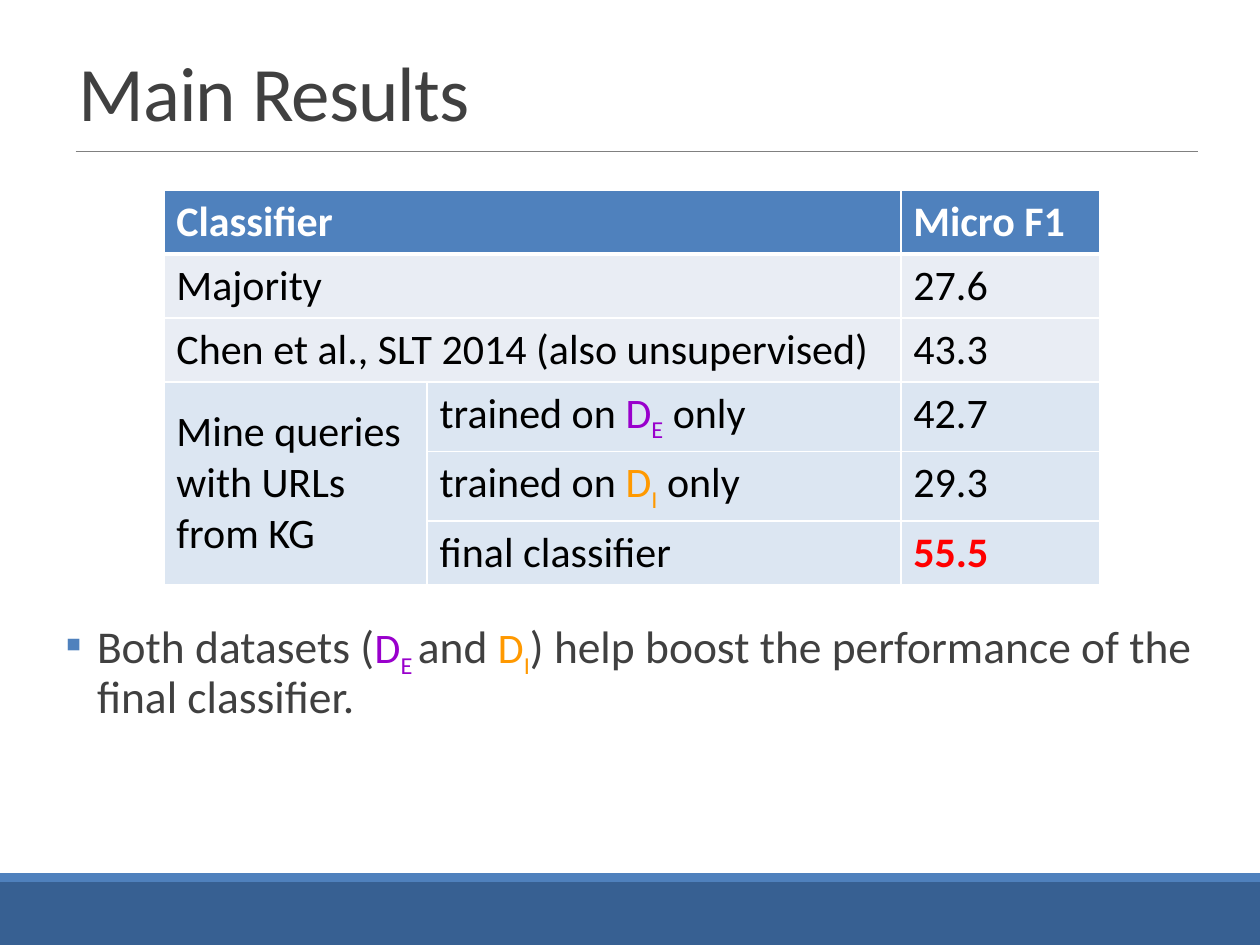
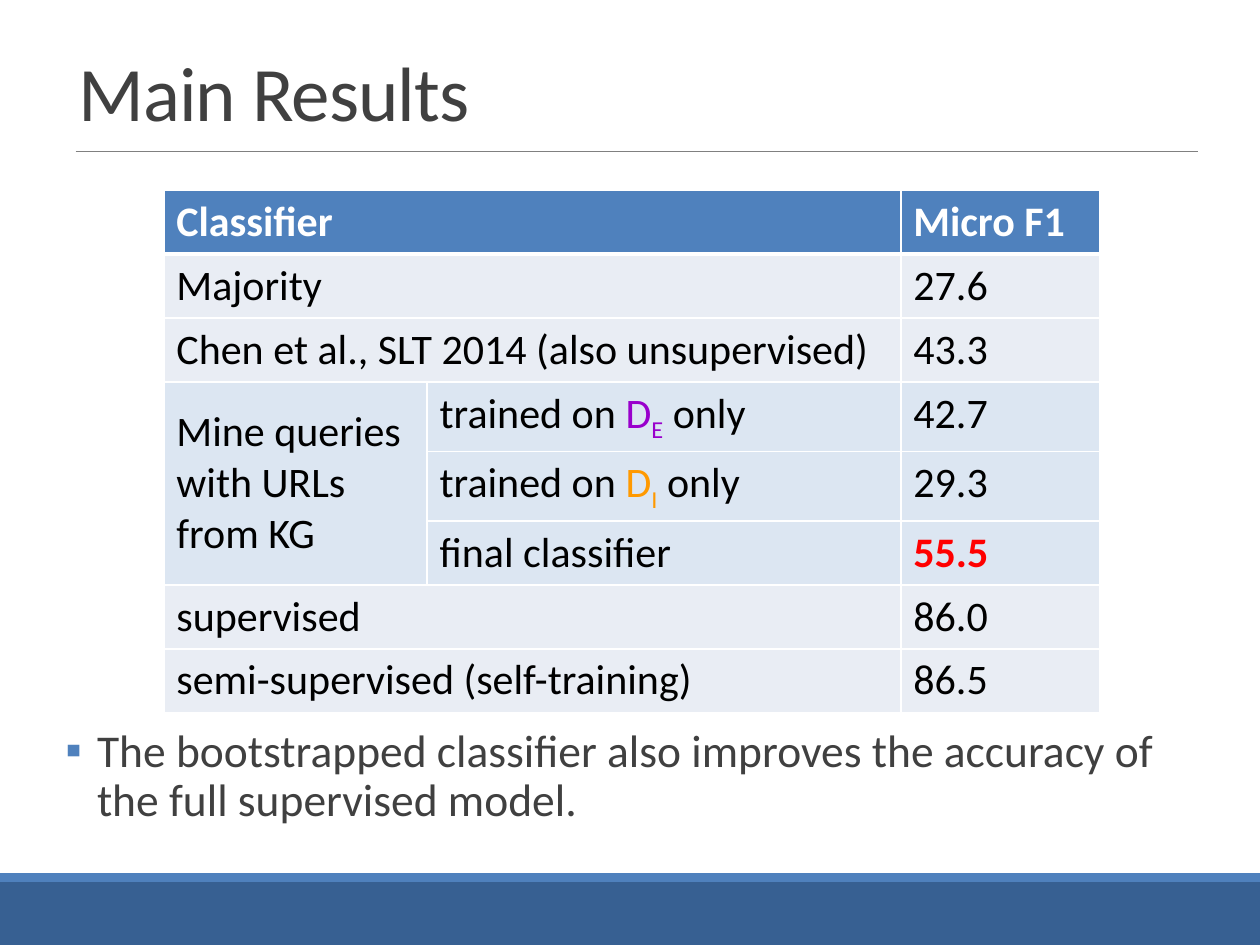
from dataclasses import dataclass

from lxml import etree
from pptx import Presentation
from pptx import util as u
from pptx.dml.color import RGBColor
from pptx.enum import shapes, text
from pptx.oxml import ns

Inches, Pt = u.Inches, u.Pt


@dataclass(frozen=True)
class Theme:
    """Colours, font and type sizes shared by the slides."""
    font: str = "Calibri"
    band: str = "376092"
    accent: str = "4F81BD"
    rule: str = "808080"
    heading: str = "404040"
    ink: str = "000000"
    white: str = "FFFFFF"
    row: str = "E9EDF4"
    own_row: str = "DCE6F2"
    explicit: str = "9900CC"
    implicit: str = "FF9900"
    best: str = "FF0000"
    title_size: int = 44
    body_size: int = 26
    table_size: int = 24


theme = Theme()
TITLE = {"size": theme.title_size, "color": theme.heading}
BODY = {"size": theme.body_size, "color": theme.heading}
HEADER = {"size": theme.table_size, "color": theme.white, "bold": True}
CELL = {"size": theme.table_size, "color": theme.ink}
BEST = {"size": theme.table_size, "color": theme.best, "bold": True}
EXPLICIT = {"size": theme.table_size, "color": theme.explicit}
IMPLICIT = {"size": theme.table_size, "color": theme.implicit}
SUBSCRIPT = {"baseline": "-25000"}


def write_runs(paragraph, runs):
    """Add (words, style) runs; return the paragraph for further formatting."""
    for words, style in runs:
        run = paragraph.add_run()
        run.text = words
        font = {"name": theme.font, "size": Pt(style["size"]), "bold": style.get("bold", False)}
        for name, value in font.items():
            setattr(run.font, name, value)
        run.font.color.rgb = RGBColor.from_string(style["color"])
        for name in ("baseline", "spc"):
            if name in style:
                run.font._element.set(name, style[name])
    return paragraph


def add_border(cell, side, width):
    """Draw one white border (L, R, T or B) of a table cell."""
    line = etree.SubElement(cell._tc.get_or_add_tcPr(), ns.qn("a:ln" + side), w=str(Pt(width)))
    fill = etree.SubElement(line, ns.qn("a:solidFill"))
    etree.SubElement(fill, ns.qn("a:srgbClr"), val=theme.white)


# Dataset names: a letter with a subscript
explicit_data = [("D", EXPLICIT), ("E", EXPLICIT | SUBSCRIPT)]
implicit_data = [("D", IMPLICIT), ("I", IMPLICIT | SUBSCRIPT)]
trained, only = ("trained on ", CELL), (" only", CELL)

# Each row: label, variant, score. No variant: the label spans two columns.
# No label: the cell belongs to the label above.
main_rows = [
    ([("Classifier", HEADER)], None, ("Micro F1", HEADER)),
    ([("Majority", CELL)], None, ("27.6", CELL)),
    ([("Chen et al., SLT 2014 (also unsupervised)", CELL)], None, ("43.3", CELL)),
    ([("Mine queries with URLs from KG", CELL)], [trained, *explicit_data, only], ("42.7", CELL)),
    (None, [trained, *implicit_data, only], ("29.3", CELL)),
    (None, [("final classifier", CELL)], ("55.5", BEST)),
]
supervised_rows = [
    ([("supervised", CELL)], None, ("86.0", CELL)),
    ([("semi-supervised (self-training)", CELL)], None, ("86.5", CELL)),
]

# Each slide: table rows, top of the remark, remark
slides = [
    (main_rows, 4.87, [
        ("Both datasets (", BODY), explicit_data[0], ("E ", EXPLICIT | SUBSCRIPT),
        ("and ", BODY), *implicit_data,
        (") help boost the performance of the final classifier.", BODY)]),
    (main_rows + supervised_rows, 5.73, [
        ("The bootstrapped classifier also improves the accuracy of "
         "the full supervised model.", BODY)]),
]
bands = [(7, 0.5, theme.band), (6.93, 0.07, theme.accent)]
column_widths = [2.09, 3.76, 1.58]
row_height = 0.5
left, width, body_bottom = 0.52, 8.99, 6.73

presentation = Presentation()
presentation.slide_width, presentation.slide_height = Inches(10), Inches(7.5)

for rows, remark_top, remark in slides:
    slide = presentation.slides.add_slide(presentation.slide_layouts[1])

    # Footer bands and the rule below the title
    for top, height, color in bands:
        band = slide.shapes.add_shape(
            shapes.MSO_SHAPE.RECTANGLE, 0, Inches(top), Inches(10), Inches(height))
        band.shadow.inherit = False
        band.fill.solid()
        band.fill.fore_color.rgb = RGBColor.from_string(color)
        band.line.fill.background()
    rule = slide.shapes.add_connector(
        shapes.MSO_CONNECTOR.STRAIGHT, Inches(0.6), Inches(1.2), Inches(9.51), Inches(1.2))
    rule.line.color.rgb = RGBColor.from_string(theme.rule)
    rule.line.width = Pt(0.5)
    etree.SubElement(rule._element.spPr, ns.qn("a:effectLst"))

    # Title and remark placeholders
    title, body = slide.shapes.title, slide.placeholders[1]
    for shape, top, height, anchor in (
            (title, 0.31, 0.83, text.MSO_ANCHOR.BOTTOM),
            (body, remark_top, body_bottom - remark_top, text.MSO_ANCHOR.TOP)):
        place = {"left": left, "top": top, "width": width, "height": height}
        for name, value in place.items():
            setattr(shape, name, Inches(value))
        frame = {"word_wrap": True, "auto_size": text.MSO_AUTO_SIZE.NONE,
                 "vertical_anchor": anchor}
        for name, value in frame.items():
            setattr(shape.text_frame, name, value)

    paragraph = write_runs(title.text_frame.paragraphs[0],
                           [("Main Results", TITLE | {"spc": "-50"})])
    paragraph.alignment = text.PP_ALIGN.LEFT
    paragraph.line_spacing = 0.85

    body.text_frame.margin_left = body.text_frame.margin_right = 0
    paragraph = write_runs(body.text_frame.paragraphs[0], remark)
    spacing = {"line_spacing": 0.9, "space_before": Pt(12), "space_after": Pt(2)}
    for name, value in spacing.items():
        setattr(paragraph, name, value)
    properties = paragraph._p.get_or_add_pPr()
    properties.set("marL", str(Inches(0.25)))
    properties.set("indent", str(Inches(-0.25)))
    bullet_color = etree.SubElement(properties, ns.qn("a:buClr"))
    etree.SubElement(bullet_color, ns.qn("a:srgbClr"), val=theme.accent)
    etree.SubElement(properties, ns.qn("a:buFont"), typeface=theme.font)
    etree.SubElement(properties, ns.qn("a:buChar"), char="▪")

    # Results table
    table = slide.shapes.add_table(
        len(rows), len(column_widths), Inches(1.3), Inches(1.51),
        Inches(sum(column_widths)), Inches(row_height * len(rows))).table
    for column, column_width in zip(table.columns, column_widths):
        column.width = Inches(column_width)

    for index, (label, variant, score) in enumerate(rows):
        fill = theme.accent if index == 0 else theme.own_row if variant else theme.row
        for column, runs in enumerate((label, variant, [score])):
            cell = table.cell(index, column)
            for side in "LRTB":
                under_header = (index, side) in ((0, "B"), (1, "T"))
                add_border(cell, side, 3 if under_header else 1)
            cell.fill.solid()
            cell.fill.fore_color.rgb = RGBColor.from_string(fill)
            if runs:
                write_runs(cell.text_frame.paragraphs[0], runs)
        if variant is None:
            table.cell(index, 0).merge(table.cell(index, 1))

    group = [index for index, row in enumerate(rows) if row[1]]
    group_cell = table.cell(group[0], 0)
    group_cell.merge(table.cell(group[-1], 0))
    group_cell.vertical_anchor = text.MSO_ANCHOR.MIDDLE

presentation.save("out.pptx")
